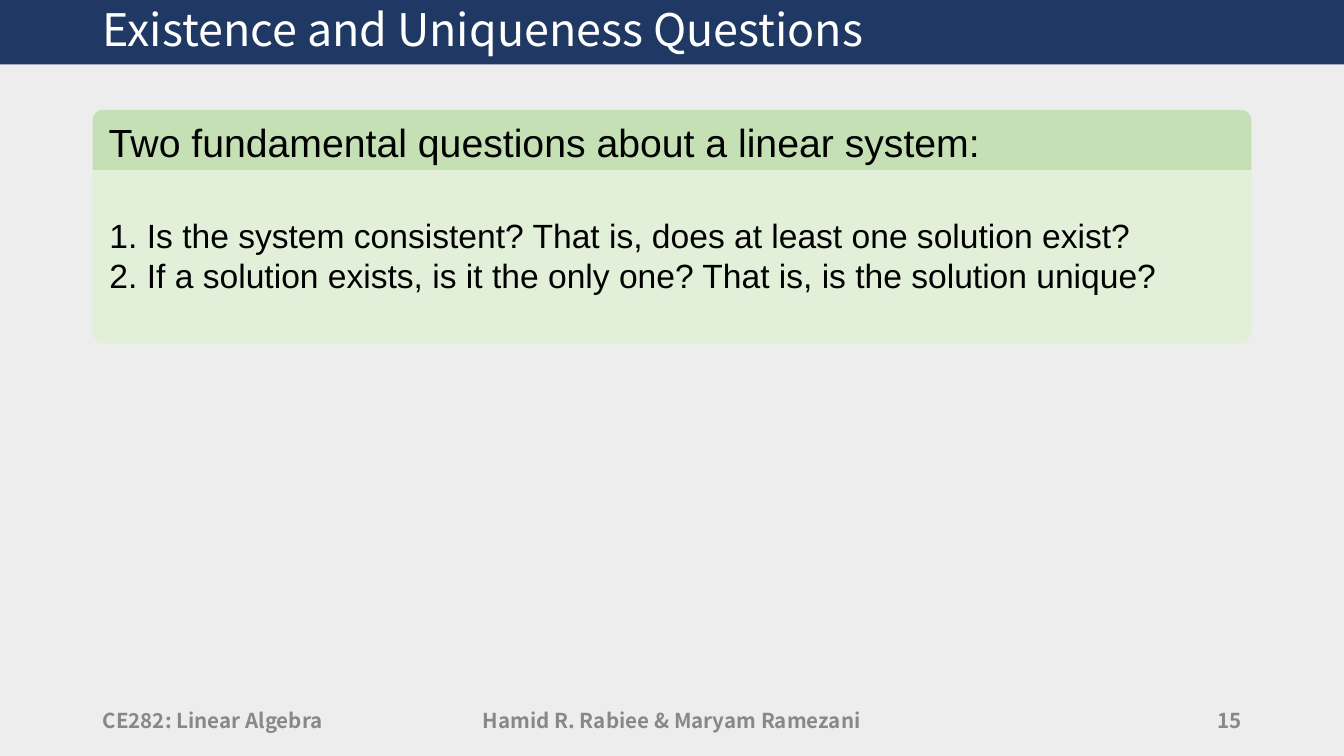
import pptx
import pptx.dml.color
import pptx.enum.shapes
import pptx.enum.text
import pptx.oxml
import pptx.oxml.ns
import pptx.util

Cm, Pt = pptx.util.Cm, pptx.util.Pt
RGBColor = pptx.dml.color.RGBColor
SHAPE = pptx.enum.shapes.MSO_SHAPE
ALIGN = pptx.enum.text.PP_ALIGN

TITLE = "Existence and Uniqueness Questions"
HEADING = "Two fundamental questions about a linear system:"
QUESTIONS = [
    "Is the system consistent? That is, does at least one solution exist?",
    "If a solution exists, is it the only one? That is, is the solution unique?",
]
FOOTERS = [  # text, width in cm, alignment
    ("CE282: Linear Algebra", 5.72, ALIGN.LEFT),
    ("Hamid R. Rabiee & Maryam Ramezani", 8.57, ALIGN.CENTER),
    ("15", 5.72, ALIGN.RIGHT),
]

NAVY = RGBColor(0x1F, 0x38, 0x64)
WHITE = RGBColor(0xFF, 0xFF, 0xFF)
BLACK = RGBColor(0x00, 0x00, 0x00)
GREY = RGBColor(0x88, 0x88, 0x88)
PALE_GREY = RGBColor(0xED, 0xED, 0xED)
GREEN = RGBColor(0xC5, 0xE0, 0xB4)
PALE_GREEN = RGBColor(0xE2, 0xF0, 0xD9)
SANS, BODY = "Noto Sans CJK JP", "Arial"

SLIDE_W, SLIDE_H = 25.4, 14.29
MARGIN = 1.75
CONTENT_W = SLIDE_W - 2 * MARGIN
HEADING_TOP, HEADING_H, QUESTIONS_H = 2.08, 1.14, 3.28


def add_panel(kind, left, top, width, height, color):
    panel = slide.shapes.add_shape(kind, Cm(left), Cm(top), Cm(width), Cm(height))
    panel.shadow.inherit = False
    panel.fill.solid()
    panel.fill.fore_color.rgb = color
    panel.line.fill.background()
    return panel


def write(frame, lines, size, font, color, align=ALIGN.LEFT, bold=False, numbered=False):
    frame.word_wrap = True
    frame.vertical_anchor = pptx.enum.text.MSO_ANCHOR.MIDDLE
    for index, line in enumerate(lines):
        paragraph = frame.paragraphs[0] if index == 0 else frame.add_paragraph()
        paragraph.text = line
        paragraph.alignment = align
        if numbered:
            number_item(paragraph)
        paragraph.font.size = Pt(size)
        paragraph.font.name = font
        paragraph.font.color.rgb = color
        paragraph.font.bold = bold


def number_item(paragraph):
    """Give the paragraph an automatic number and a hanging indent."""
    properties = paragraph._p.get_or_add_pPr()
    properties.set("marL", str(Cm(0.71)))
    properties.set("indent", str(-Cm(0.71)))
    properties.append(pptx.oxml.parse_xml(
        f'<a:buFont {pptx.oxml.ns.nsdecls("a")} typeface="+mj-lt"/>'))
    properties.append(pptx.oxml.parse_xml(
        f'<a:buAutoNum {pptx.oxml.ns.nsdecls("a")} type="arabicPeriod"/>'))


def add_label(text, left, top, width, height, **style):
    box = slide.shapes.add_textbox(Cm(left), Cm(top), Cm(width), Cm(height))
    frame = box.text_frame
    frame.margin_left = frame.margin_right = Cm(0.19)
    frame.margin_top = frame.margin_bottom = Cm(0.1)
    write(frame, [text], font=SANS, **style)
    return frame


presentation = pptx.Presentation()
presentation.slide_width, presentation.slide_height = Cm(SLIDE_W), Cm(SLIDE_H)
slide = presentation.slides.add_slide(presentation.slide_layouts[6])
slide.background.fill.solid()
slide.background.fill.fore_color.rgb = PALE_GREY

add_panel(SHAPE.RECTANGLE, 0, 0, SLIDE_W, 1.22, NAVY)
title = add_label(TITLE, MARGIN, 0.1, 20.73, 1, size=24, color=WHITE)
title.paragraphs[0].line_spacing = 0.9

footer_gap = (CONTENT_W - sum(width for _, width, _ in FOOTERS)) / (len(FOOTERS) - 1)
footer_left = MARGIN
for text, width, align in FOOTERS:
    add_label(text, footer_left, 13.24, width, 0.76,
              size=11, color=GREY, align=align, bold=True)
    footer_left += width + footer_gap

heading = add_panel(SHAPE.ROUND_2_SAME_RECTANGLE, MARGIN, HEADING_TOP,
                    CONTENT_W, HEADING_H, GREEN)
write(heading.text_frame, [HEADING], 21, BODY, BLACK)

questions = add_panel(SHAPE.ROUND_2_SAME_RECTANGLE, MARGIN, HEADING_TOP + HEADING_H,
                      CONTENT_W, QUESTIONS_H, PALE_GREEN)
questions.adjustments[0] = 0
questions.adjustments[1] = 0.07
write(questions.text_frame, QUESTIONS, 18, BODY, BLACK, numbered=True)

presentation.save("out.pptx")
